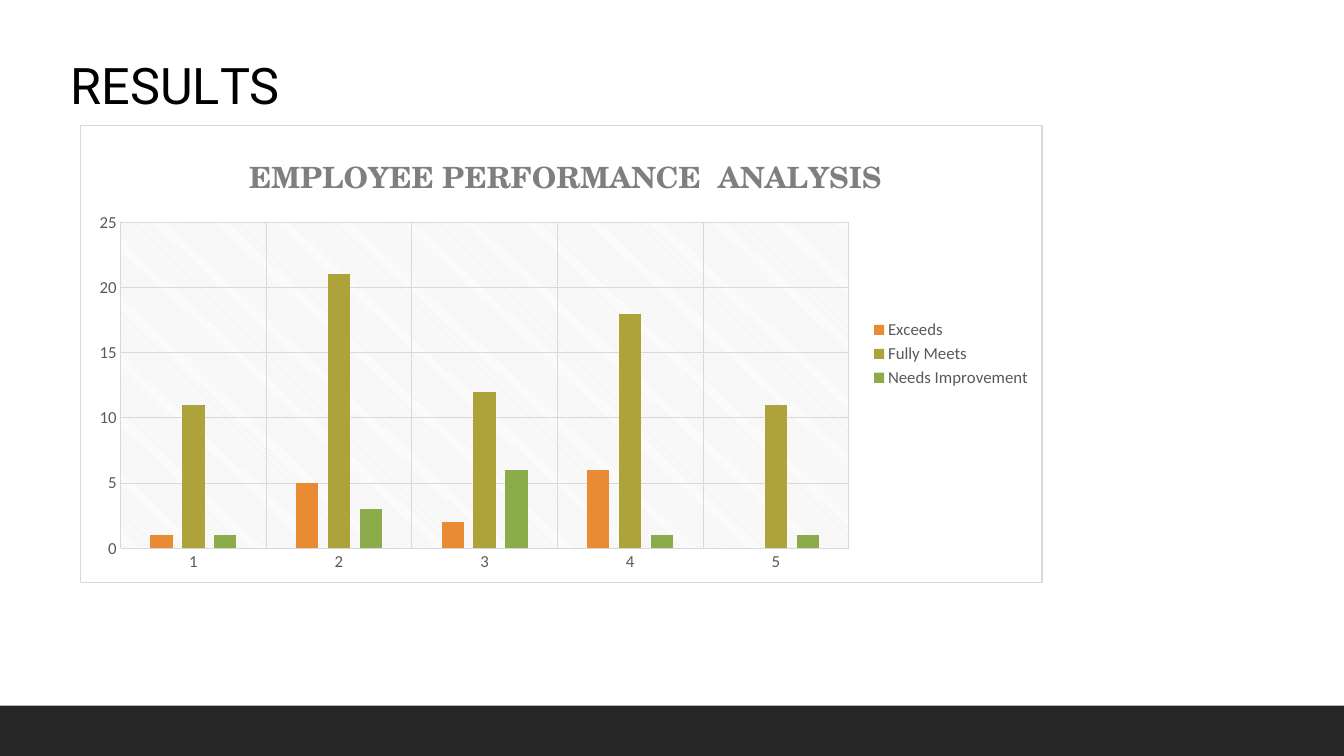
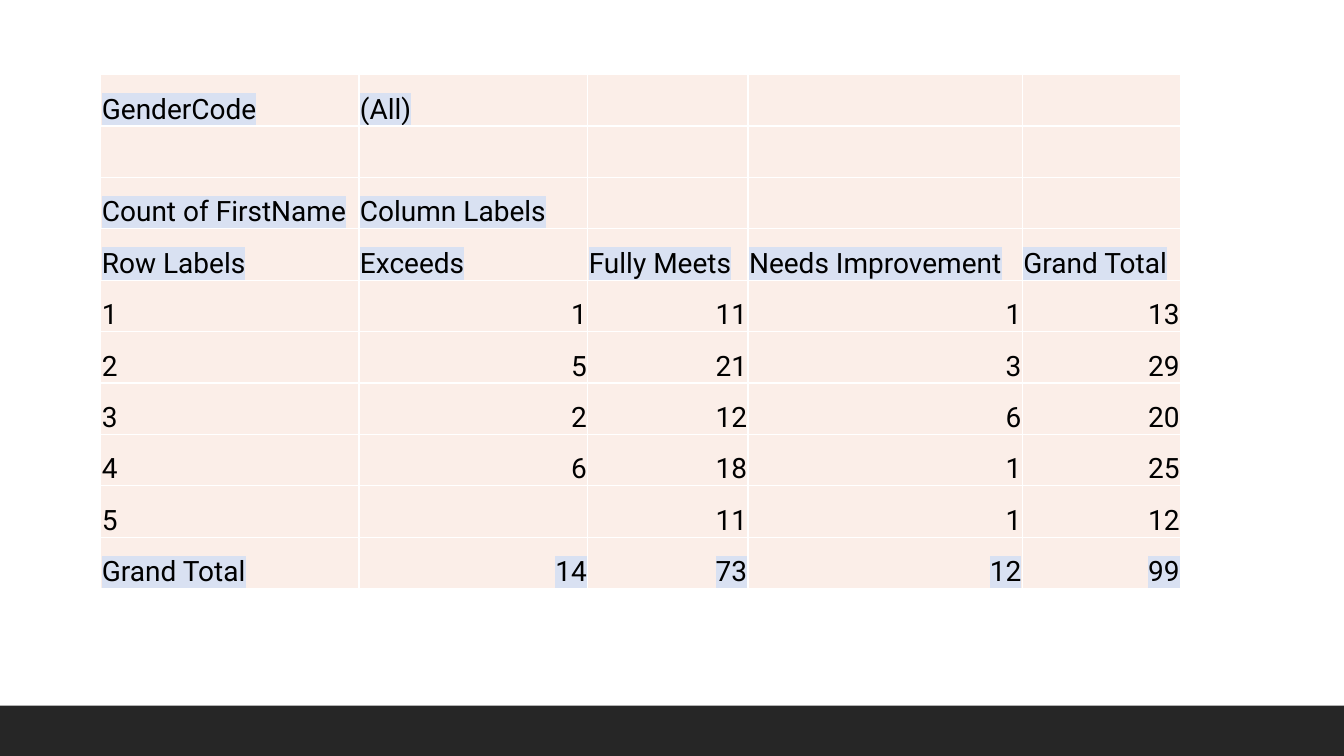
import pptx
import pptx.chart.data
import pptx.dml.color
import pptx.enum.chart
import pptx.enum.shapes
import pptx.enum.text
import pptx.oxml
import pptx.oxml.ns
import pptx.util

Inches = pptx.util.Inches
Pt = pptx.util.Pt
RGBColor = pptx.dml.color.RGBColor

# Shared look
BLACK = RGBColor(0x00, 0x00, 0x00)
WHITE = RGBColor(0xFF, 0xFF, 0xFF)
BAND = RGBColor(0x26, 0x26, 0x26)
GRID = RGBColor(0xD9, 0xD9, 0xD9)
LABEL = RGBColor(0x59, 0x59, 0x59)
CHART_TITLE = RGBColor(0x7F, 0x7F, 0x7F)
CELL = RGBColor(0xFB, 0xEE, 0xE8)
HIGHLIGHT = RGBColor(0xD9, 0xE1, 0xF2)
SERIES_COLORS = [RGBColor(0xE8, 0x8B, 0x33), RGBColor(0xAE, 0xA3, 0x3A),
                 RGBColor(0x8C, 0xAB, 0x4A)]
BODY_FONT = {"name": "Roboto", "size": Pt(20)}
TITLE_FONT = {"name": "Roboto", "size": Pt(36)}
LABEL_FONT = {"name": "Calibri", "size": Pt(12)}
CHART_TITLE_FONT = {"name": "Century Schoolbook", "size": Pt(21), "bold": True}


def format_font(font, values, color):
    for name, value in values.items():
        setattr(font, name, value)
    font.color.rgb = color


def xml(text):
    """Parse a fragment, declaring the drawing and chart namespaces."""
    tag, rest = text.split(" ", 1)
    return pptx.oxml.parse_xml(f"{tag} {pptx.oxml.ns.nsdecls('a', 'c')} {rest}")


presentation = pptx.Presentation()
presentation.slide_width = Inches(13.33)
presentation.slide_height = Inches(7.5)
width, height = presentation.slide_width, presentation.slide_height
title_only, blank = presentation.slide_layouts[5], presentation.slide_layouts[6]
results_slide = presentation.slides.add_slide(title_only)
table_slide = presentation.slides.add_slide(blank)

# Bottom band, moved to the master so that every slide shows it
band_height = height // 15
band = results_slide.shapes.add_shape(
    pptx.enum.shapes.MSO_SHAPE.RECTANGLE, 0, height - band_height, width, band_height)
band.shadow.inherit = False
band.fill.solid()
band.fill.fore_color.rgb = BAND
band.line.fill.background()
presentation.slide_master.shapes.element.append(band.element)

# Slide 1: title, with the L drawn close to the T
title = results_slide.shapes.title
title.left, title.top = Inches(0.62), Inches(0.53)
title.width, title.height = width // 2, Inches(0.6)
frame_format = {"margin_left": Inches(0.08), "margin_right": 0,
                "margin_top": Inches(0.01), "margin_bottom": 0,
                "vertical_anchor": pptx.enum.text.MSO_ANCHOR.TOP}
for name, value in frame_format.items():
    setattr(title.text_frame, name, value)
paragraph = title.text_frame.paragraphs[0]
paragraph.alignment = pptx.enum.text.PP_ALIGN.LEFT
for text, spacing in [("RESU", 0), ("L", -400), ("TS", 0)]:
    run = paragraph.add_run()
    run.text = text
    format_font(run.font, TITLE_FONT, BLACK)
    run.font._element.set("spc", str(spacing))

# Ratings shared by the chart and the table
ratings = ["Exceeds", "Fully Meets", "Needs Improvement"]
units = ["1", "2", "3", "4", "5"]
counts = [[1, 5, 2, 6, None], [11, 21, 12, 18, 11], [1, 3, 6, 1, 1]]

# Slide 1: column chart
chart_data = pptx.chart.data.CategoryChartData()
chart_data.categories = units
for rating, values in zip(ratings, counts):
    chart_data.add_series(rating, values)
chart = results_slide.shapes.add_chart(
    pptx.enum.chart.XL_CHART_TYPE.COLUMN_CLUSTERED,
    Inches(0.79), Inches(1.24), Inches(9.55), Inches(4.54), chart_data).chart
format_font(chart.font, {"name": "Calibri", "size": Pt(10)}, BLACK)

chart.has_title = True
chart.chart_title.text_frame.text = "EMPLOYEE PERFORMANCE  ANALYSIS"
format_font(chart.chart_title.text_frame.paragraphs[0].runs[0].font,
            CHART_TITLE_FONT, CHART_TITLE)

chart.has_legend = True
chart.legend.position = pptx.enum.chart.XL_LEGEND_POSITION.RIGHT
chart.legend.include_in_layout = False
format_font(chart.legend.font, LABEL_FONT, LABEL)

plot = chart.plots[0]
plot.gap_width, plot.overlap, plot.vary_by_categories = 267, -43, False
for series, color in zip(plot.series, SERIES_COLORS):
    series.format.fill.solid()
    series.format.fill.fore_color.rgb = color

for axis in (chart.category_axis, chart.value_axis):
    axis.major_tick_mark = pptx.enum.chart.XL_TICK_MARK.NONE
    axis.has_major_gridlines = True
    format_font(axis.tick_labels.font, LABEL_FONT, LABEL)
    for line in (axis.major_gridlines.format.line, axis.format.line):
        line.color.rgb = GRID
        line.width = Pt(0.75)
value_axis = chart.value_axis
value_axis.format.line.fill.background()
value_axis.minimum_scale, value_axis.maximum_scale, value_axis.major_unit = 0, 25, 5

# Hatched plot area, chart frame and fixed places for plot and title
chart_space = chart._chartSpace
plot_area = chart_space.chart.plotArea
plot_area.append(xml(
    f'<c:spPr ><a:pattFill prst="ltDnDiag"><a:fgClr><a:srgbClr val="{GRID}"/></a:fgClr>'
    f'<a:bgClr><a:srgbClr val="{WHITE}"/></a:bgClr></a:pattFill></c:spPr>'))
chart_space.chart.addnext(xml(
    f'<c:spPr ><a:solidFill><a:srgbClr val="{WHITE}"/></a:solidFill><a:ln w="{Pt(0.75)}">'
    f'<a:solidFill><a:srgbClr val="{GRID}"/></a:solidFill></a:ln></c:spPr>'))
places = [(plot_area, '<c:layoutTarget val="inner"/>',
           {"x": 0.042, "y": 0.212, "w": 0.757, "h": 0.714}),
          (chart.chart_title._element, "", {"x": 0.17, "y": 0.07})]
for element, target, shares in places:
    for old_layout in element.findall(pptx.oxml.ns.qn("c:layout")):
        element.remove(old_layout)
    modes = "".join(f'<c:{side}Mode val="edge"/>' for side in "xy")
    sizes = "".join(f'<c:{side} val="{share}"/>' for side, share in shares.items())
    layout = xml(f"<c:layout ><c:manualLayout>{target}{modes}{sizes}"
                 "</c:manualLayout></c:layout>")
    text_element = element.find(pptx.oxml.ns.qn("c:tx"))
    if text_element is None:
        element.insert(0, layout)
    else:
        text_element.addnext(layout)

# Slide 2: pivot table, with totals worked out from the ratings
rows = [["GenderCode", "(All)"], [], ["Count of FirstName", "Column Labels"],
        ["Row Labels", *ratings, "Grand Total"]]
first_count_row = len(rows)
for unit, *values in zip(units, *counts):
    rows.append([unit, *values, sum(value or 0 for value in values)])
totals = [sum(value or 0 for value in values) for values in counts]
rows.append(["Grand Total", *totals, sum(totals)])

column_widths = [2.56, 2.27, 1.59, 2.72, 1.57]
row_height = Inches(0.51)
table = table_slide.shapes.add_table(
    len(rows), len(column_widths), Inches(1), Inches(0.74),
    Inches(sum(column_widths)), row_height * len(rows)).table
table.first_row = table.horz_banding = False
for column, column_width in zip(table.columns, column_widths):
    column.width = Inches(column_width)

cell_format = {"margin_left": Inches(0.01), "margin_right": Inches(0.01),
               "margin_top": Inches(0.01), "margin_bottom": 0,
               "vertical_anchor": pptx.enum.text.MSO_ANCHOR.BOTTOM}
for row_index, row in enumerate(rows):
    table.rows[row_index].height = row_height
    is_count_row = first_count_row <= row_index < len(rows) - 1
    for column_index in range(len(column_widths)):
        cell = table.cell(row_index, column_index)
        for name, value in cell_format.items():
            setattr(cell, name, value)
        for side in "LRTB":
            cell._tc.get_or_add_tcPr().append(xml(
                f'<a:ln{side} w="{Pt(1)}"><a:solidFill><a:srgbClr val="{WHITE}"/>'
                f"</a:solidFill></a:ln{side}>"))
        cell.fill.solid()
        cell.fill.fore_color.rgb = CELL
        if column_index >= len(row) or row[column_index] is None:
            continue
        paragraph = cell.text_frame.paragraphs[0]
        if column_index > 0 and row_index >= first_count_row:
            paragraph.alignment = pptx.enum.text.PP_ALIGN.RIGHT
        run = paragraph.add_run()
        run.text = str(row[column_index])
        format_font(run.font, BODY_FONT, BLACK)
        if not is_count_row:
            fill = run.font._element.find(pptx.oxml.ns.qn("a:solidFill"))
            fill.addnext(xml(
                f'<a:highlight ><a:srgbClr val="{HIGHLIGHT}"/></a:highlight>'))

presentation.save("out.pptx")
